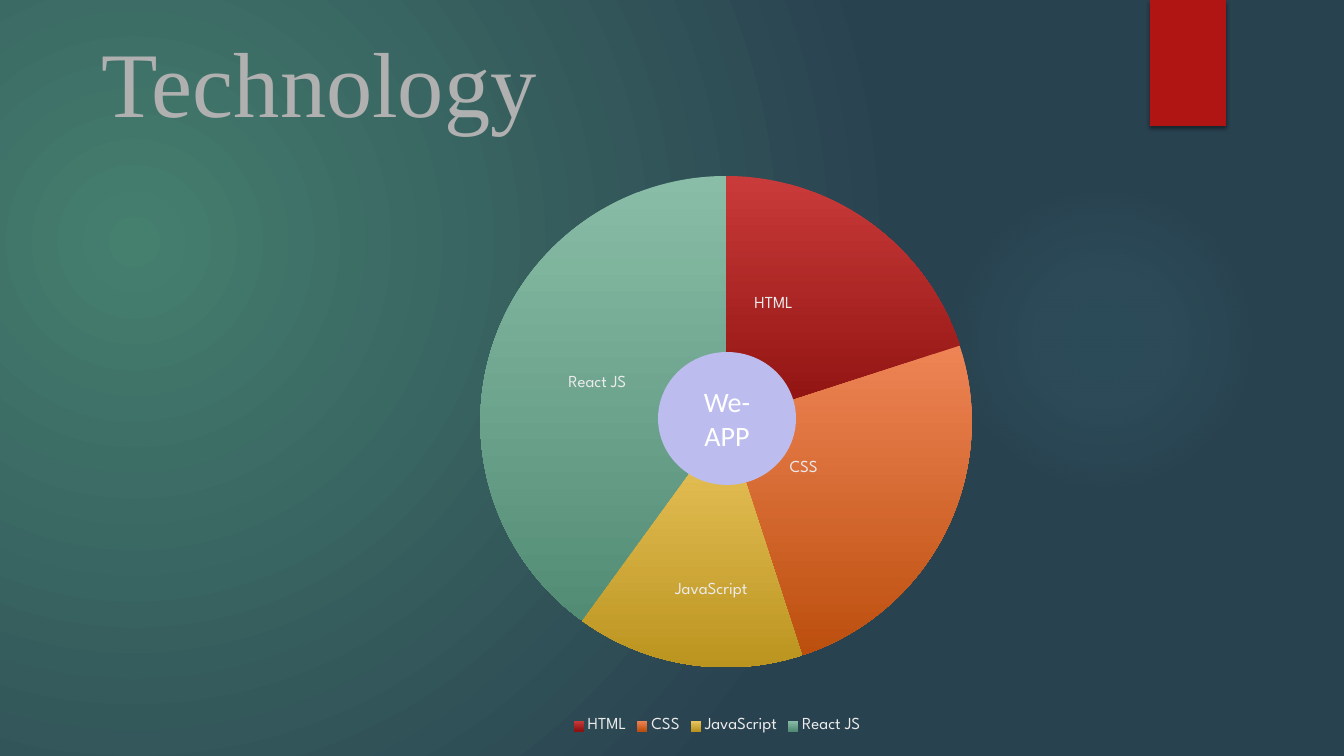
from pptx import Presentation
from pptx import util as u
from pptx.chart.data import CategoryChartData
from pptx.dml.color import RGBColor
from pptx.enum import chart as kinds, shapes, text
from pptx.oxml import parse_xml
from pptx.oxml.ns import nsdecls, qn

SLICES = [  # name, share, top colour, bottom colour, label shift in px
    ("HTML", 20, "C93B3A", "8D110F", (-25, -17)),
    ("CSS", 25, "EE8455", "BC4F0E", (-32, -9)),
    ("JavaScript", 15, "EBC65F", "BB941F", (5, 48)),
    ("React JS", 40, "89BDA7", "538C74", (-12, 0)),
]
PLOT = {"x": 0.24, "y": 0.1, "w": 0.54, "h": 0.81}
LABEL = {"size": 12, "color": "EBEBEB", "name": "League Spartan"}


def px(n):
    return u.Emu(round(n * 914400 / 100.8))


def paint(hue):
    return RGBColor.from_string(hue)


def style(font, look):
    for key, value in look.items():
        if key == "color":
            font.color.rgb = paint(value)
        else:
            setattr(font, key, u.Pt(value) if key == "size" else value)


def radial(left, top, right, bottom):
    edges = zip("ltrb", (left, top, right, bottom))
    rect = " ".join(f'{k}="{v * 1000}"' for k, v in edges)
    return f'<a:path path="circle"><a:fillToRect {rect}/></a:path>'


def blend(fill, host, stops, shade):
    """Give fill, held inside the element host, a gradient of (place, hue, alpha)."""
    fill.gradient()
    marks = "".join(
        f'<a:gs pos="{place * 1000}"><a:srgbClr val="{hue}">'
        f'<a:alpha val="{alpha * 1000}"/></a:srgbClr></a:gs>'
        for place, hue, alpha in stops)
    old = host.find(".//" + qn("a:gradFill"))
    old.getparent().replace(old, parse_xml(
        f'<a:gradFill {nsdecls("a")} rotWithShape="1">'
        f'<a:gsLst>{marks}</a:gsLst>{shade}</a:gradFill>'))


def layout(**values):
    """Make a manual chart layout from fractions of the chart area."""
    inner = '<c:layoutTarget val="inner"/>' if "w" in values else ""
    modes = '<c:xMode val="edge"/><c:yMode val="edge"/>' if inner else ""
    sizes = "".join(f'<c:{k} val="{v:.3f}"/>' for k, v in values.items())
    return parse_xml(f'<c:layout {nsdecls("c")}><c:manualLayout>'
                     f'{inner}{modes}{sizes}</c:manualLayout></c:layout>')


class Deck:
    def __init__(self):
        self.file = Presentation()
        self.file.slide_width, self.file.slide_height = px(1344), px(756)
        self.slide = self.file.slides.add_slide(self.file.slide_layouts[5])

    def ground(self, stops, shade):
        blend(self.slide.background.fill, self.slide.element, stops, shade)

    def shape(self, kind, box, hue=None):
        item = self.slide.shapes.add_shape(kind, *map(px, box))
        item.shadow.inherit = False
        item.line.fill.background()
        if hue:
            item.fill.solid()
            item.fill.fore_color.rgb = paint(hue)
        return item

    def glow(self, box, stops):
        item = self.shape(shapes.MSO_SHAPE.OVAL, box)
        blend(item.fill, item.element, stops, radial(50, 50, 50, 50))

    def ribbon(self, box, hue):
        item = self.shape(shapes.MSO_SHAPE.RECTANGLE, box, hue)
        item.element.spPr.find(qn("a:effectLst")).append(parse_xml(
            f'<a:outerShdw {nsdecls("a")} blurRad="38100" dist="25400" '
            'dir="5400000" rotWithShape="0"><a:srgbClr val="000000">'
            '<a:alpha val="45000"/></a:srgbClr></a:outerShdw>'))

    def label(self, item, words, look, align, anchor):
        frame = item.text_frame
        frame.word_wrap = True
        frame.auto_size = text.MSO_AUTO_SIZE.NONE
        frame.vertical_anchor = anchor
        line = frame.paragraphs[0]
        line.alignment = align
        run = line.add_run()
        run.text = words
        style(run.font, look)

    def title(self, words, box, indent, look):
        item = self.slide.shapes.title
        item.left, item.top, item.width, item.height = map(px, box)
        item.text_frame.margin_left = px(indent)
        self.label(item, words, look, text.PP_ALIGN.LEFT, text.MSO_ANCHOR.BOTTOM)

    def disc(self, words, box, hue, look):
        item = self.shape(shapes.MSO_SHAPE.OVAL, box, hue)
        self.label(item, words, look, text.PP_ALIGN.CENTER, text.MSO_ANCHOR.MIDDLE)

    def pie(self, box, slices):
        data = CategoryChartData()
        data.categories = [part[0] for part in slices]
        data.add_series("Series 1", [part[1] for part in slices])
        chart = self.slide.shapes.add_chart(
            kinds.XL_CHART_TYPE.PIE, *map(px, box), data).chart
        style(chart.font, {"size": 10, "color": "FFFFFF", "name": "League Spartan"})
        chart.has_title = False
        chart.has_legend = True
        chart.legend.position = kinds.XL_LEGEND_POSITION.BOTTOM
        chart.legend.include_in_layout = False
        style(chart.legend.font, LABEL)

        area = chart.element.find(".//" + qn("c:plotArea"))
        for old in area.findall(qn("c:layout")):
            area.remove(old)
        area.insert(0, layout(**PLOT))

        plot = chart.plots[0]
        plot.vary_by_categories = True
        points = plot.series[0].points
        for i, (name, _, top, bottom, (dx, dy)) in enumerate(slices):
            point = points[i]
            point.format.line.fill.background()
            blend(point.format.fill, area.findall(".//" + qn("c:dPt"))[i],
                  [(0, top, 100), (100, bottom, 100)],
                  '<a:lin ang="5400000" scaled="0"/>')
            tag = point.data_label
            run = tag.text_frame.paragraphs[0].add_run()
            run.text = name
            style(run.font, LABEL)
            tag.position = kinds.XL_LABEL_POSITION.CENTER
            node = area.findall(".//" + qn("c:dLbl"))[i]
            node.insert(1, layout(x=dx / box[2], y=dy / box[3]))


def main():
    deck = Deck()
    deck.ground([(0, "457F6E", 100), (100, "294250", 100)],
                radial(45, 65, 125, 100))
    deck.glow((949, 184, 310, 310),
              [(0, "50B9C1", 7), (36, "50B9C1", 6), (69, "50B9C1", 0)])
    deck.ribbon((1150, 0, 76, 126), "B01513")
    deck.title("Technology", (0, 0, 1344, 141), 102,
               {"size": 66, "color": "B0B0B0", "name": "Times New Roman"})
    deck.pie((262, 99, 910, 639), SLICES)
    deck.disc("We-APP", (658, 352, 138, 133), "BCBDEE",
              {"size": 20, "color": "FFFFFF", "name": "Calibri"})
    deck.file.save("out.pptx")


if __name__ == "__main__":
    main()
